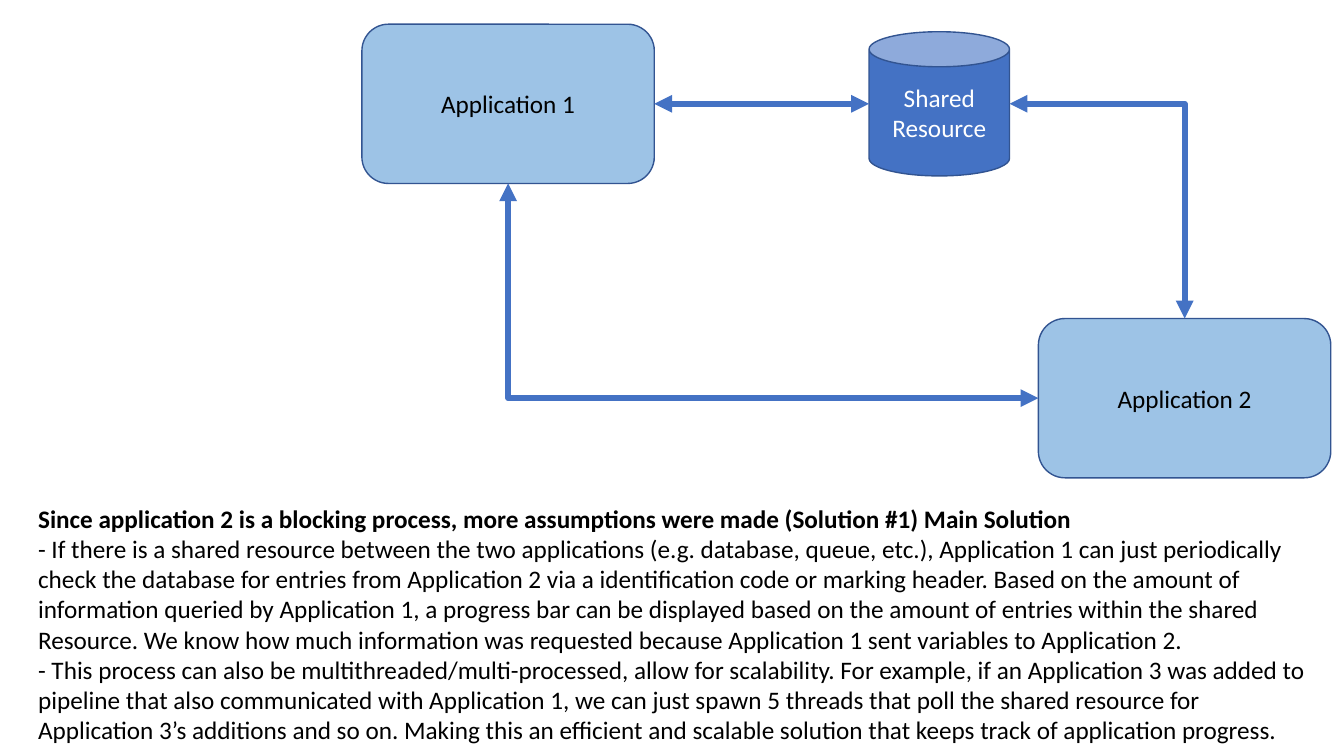
import dataclasses

import lxml.etree
import pptx
import pptx.dml.color
import pptx.enum.shapes
import pptx.enum.text
import pptx.oxml.ns
import pptx.util

SHAPES = pptx.enum.shapes.MSO_SHAPE
CONNECTORS = pptx.enum.shapes.MSO_CONNECTOR
qn = pptx.oxml.ns.qn


@dataclasses.dataclass(frozen=True)
class Theme:
    font: str = "Calibri"
    body_size: float = 18
    outline_width: float = 1
    link_width: float = 4.25
    app_fill: str = "9DC3E6"
    resource_fill: str = "4472C4"
    outline: str = "325491"
    link: str = "4472C4"
    dark_text: str = "000000"
    light_text: str = "FFFFFF"


@dataclasses.dataclass(frozen=True)
class Box:
    left: float
    top: float
    width: float
    height: float

    def area(self, left, top, width, height):
        column, row = self.width / 100, self.height / 100
        return Box(self.left + left * column, self.top + top * row,
                   width * column, height * row)

    def emu(self):
        return [round(length) for length in
                (self.left, self.top, self.width, self.height)]


THEME = Theme()
EXPLANATION = [
    "Since application 2 is a blocking process, more assumptions were made (Solution #1) Main Solution",
    "- If there is a shared resource between the two applications (e.g. database, queue, etc.), Application 1 can just periodically",
    "check the database for entries from Application 2 via a identification code or marking header. Based on the amount of",
    "information queried by Application 1, a progress bar can be displayed based on the amount of entries within the shared",
    "Resource. We know how much information was requested because Application 1 sent variables to Application 2.",
    "- This process can also be multithreaded/multi-processed, allow for scalability. For example, if an Application 3 was added to",
    "pipeline that also communicated with Application 1, we can just spawn 5 threads that poll the shared resource for",
    "Application 3\u2019s additions and so on. Making this an efficient and scalable solution that keeps track of application progress.",
]


def rgb(value):
    return pptx.dml.color.RGBColor.from_string(value)


def write(paragraph, text, color=THEME.dark_text, bold=False,
          align=pptx.enum.text.PP_ALIGN.LEFT):
    paragraph.alignment = align
    run = paragraph.add_run()
    run.text = text
    run.font.name = THEME.font
    run.font.size = pptx.util.Pt(THEME.body_size)
    run.font.bold = bold
    run.font.color.rgb = rgb(color)


def add_node(slide, box, kind, label, fill, color):
    node = slide.shapes.add_shape(kind, *box.emu())
    node.shadow.inherit = False
    node.fill.solid()
    node.fill.fore_color.rgb = rgb(fill)
    node.line.color.rgb = rgb(THEME.outline)
    node.line.width = pptx.util.Pt(THEME.outline_width)
    node.text_frame.word_wrap = True
    node.text_frame.vertical_anchor = pptx.enum.text.MSO_ANCHOR.MIDDLE
    write(node.text_frame.paragraphs[0], label, color=color,
          align=pptx.enum.text.PP_ALIGN.CENTER)
    return node


def side(node, name):
    across, down = {"top": (0.5, 0), "left": (0, 0.5),
                    "bottom": (0.5, 1), "right": (1, 0.5)}[name]
    return (round(node.left + across * node.width),
            round(node.top + down * node.height))


def add_link(slide, start, end, bent=True):
    kind = CONNECTORS.ELBOW if bent else CONNECTORS.STRAIGHT
    link = slide.shapes.add_connector(kind, *start, *end)
    link.line.color.rgb = rgb(THEME.link)
    link.line.width = pptx.util.Pt(THEME.link_width)
    properties = link._element.spPr
    if bent:
        properties.find(qn("a:prstGeom")).set("prst", "bentConnector2")
    for arrow in ("a:headEnd", "a:tailEnd"):
        lxml.etree.SubElement(properties.find(qn("a:ln")), qn(arrow), type="triangle")
    lxml.etree.SubElement(properties, qn("a:effectLst"))


def add_diagram(slide, box):
    app_width, app_height = 30.18, 35.11
    resource_width, resource_height = 14.5, 31.8

    def add_app(label, left, top):
        return add_node(slide, box.area(left, top, app_width, app_height),
                        SHAPES.ROUNDED_RECTANGLE, label,
                        THEME.app_fill, THEME.dark_text)

    first_app = add_app("Application 1", 0, 0)
    second_app = add_app("Application 2", 100 - app_width, 100 - app_height)
    resource_box = box.area(52.34, (app_height - resource_height) / 2,
                            resource_width, resource_height)
    resource = add_node(slide, resource_box, SHAPES.CAN, "Shared Resource",
                        THEME.resource_fill, THEME.light_text)
    add_link(slide, side(first_app, "right"), side(resource, "left"), bent=False)
    add_link(slide, side(resource, "right"), side(second_app, "top"))
    add_link(slide, side(second_app, "left"), side(first_app, "bottom"))


def add_explanation(slide, box):
    frame = slide.shapes.add_textbox(*box.emu()).text_frame
    frame.word_wrap = False
    frame.auto_size = pptx.enum.text.MSO_AUTO_SIZE.SHAPE_TO_FIT_TEXT
    for index, line in enumerate(EXPLANATION):
        paragraph = frame.add_paragraph() if index else frame.paragraphs[0]
        write(paragraph, line, bold=index == 0)


def main():
    deck = pptx.Presentation()
    deck.slide_width = pptx.util.Inches(13.33)
    deck.slide_height = pptx.util.Inches(7.5)
    slide = deck.slides.add_slide(deck.slide_layouts.get_by_name("Blank"))
    page = Box(0, 0, deck.slide_width, deck.slide_height)
    add_diagram(slide, page.area(26.93, 3.2, 72.09, 60))
    add_explanation(slide, page.area(2.1, 65.87, 97.37, 33.6))
    deck.save("out.pptx")


main()
